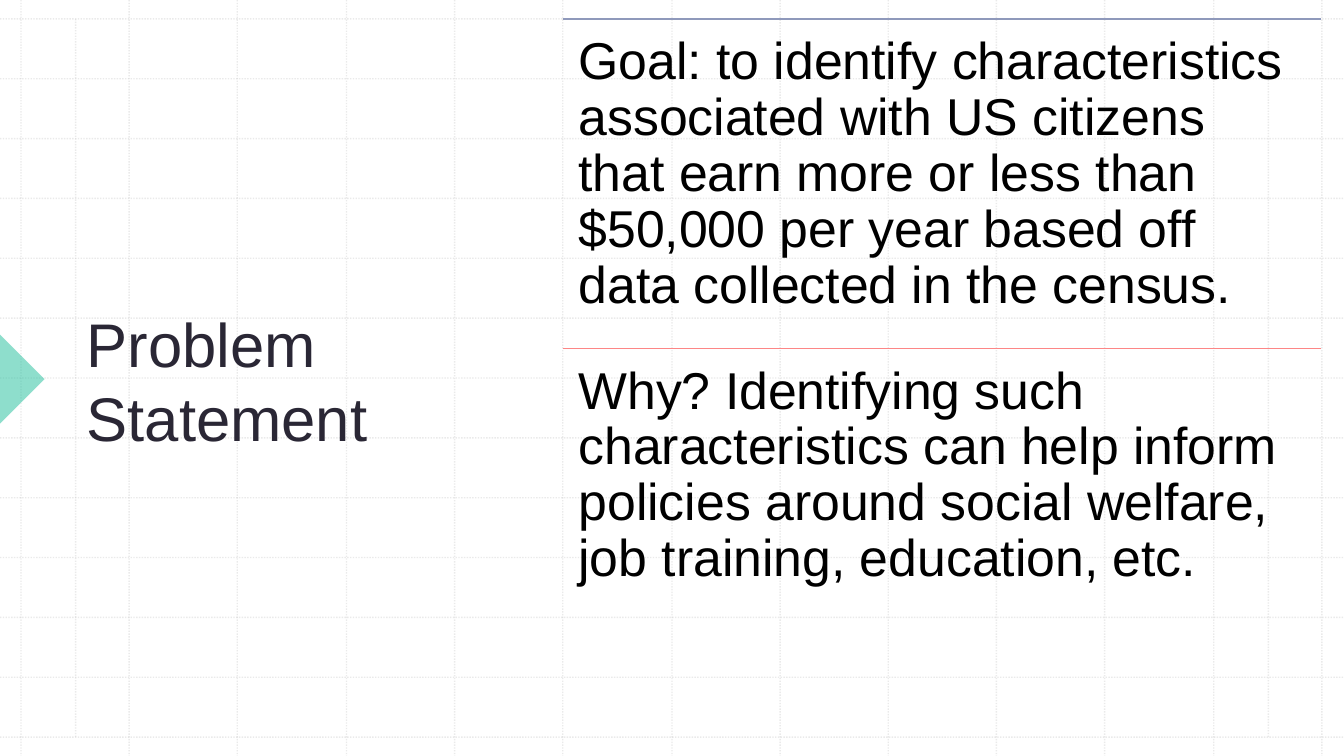
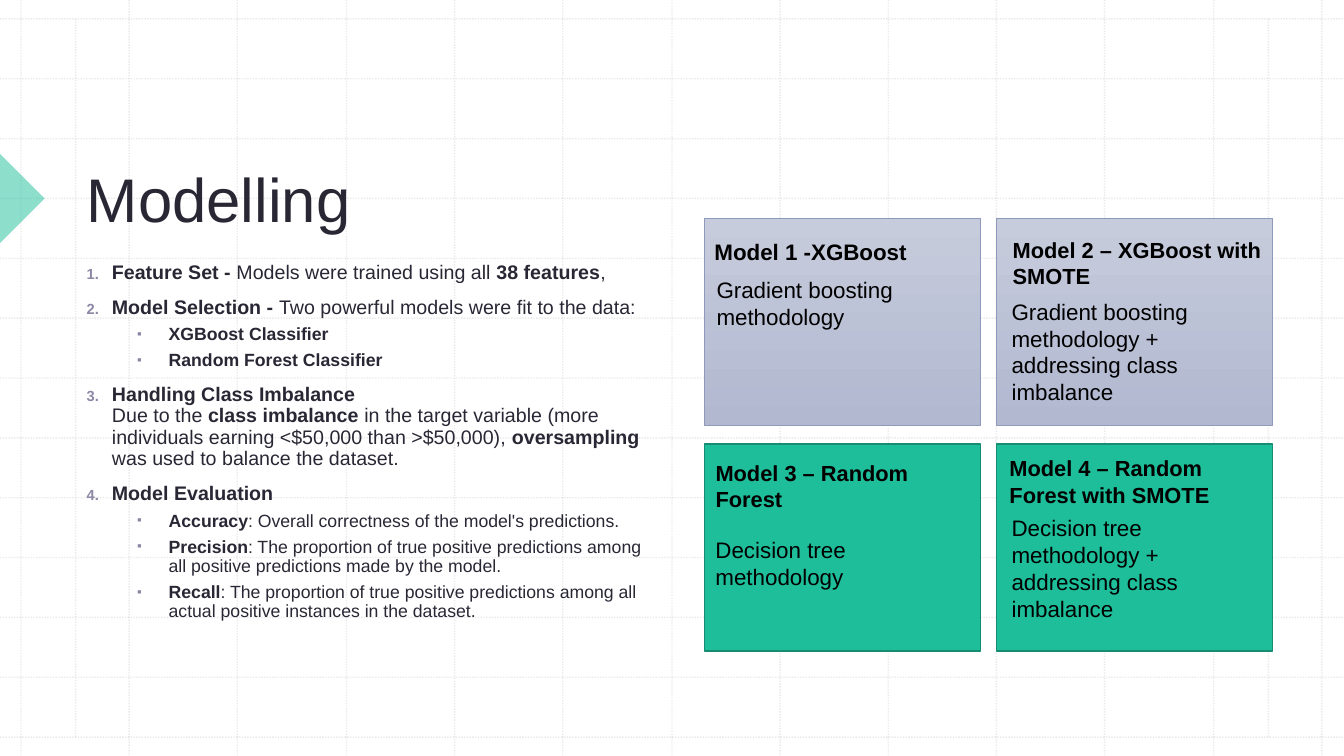
from copy import deepcopy

from lxml import etree
from pptx import Presentation
from pptx.dml.color import RGBColor
from pptx.enum.dml import MSO_LINE
from pptx.enum.shapes import MSO_CONNECTOR, MSO_SHAPE
from pptx.enum.text import MSO_ANCHOR, MSO_AUTO_SIZE, PP_ALIGN
from pptx.oxml.ns import qn
from pptx.util import Emu, Pt

STRAIGHT = MSO_CONNECTOR.STRAIGHT
RECT, TRIANGLE = MSO_SHAPE.RECTANGLE, MSO_SHAPE.RIGHT_TRIANGLE
TOP, MIDDLE, BOTTOM = MSO_ANCHOR.TOP, MSO_ANCHOR.MIDDLE, MSO_ANCHOR.BOTTOM
SYS_DOT, NO_FIT, LEFT = MSO_LINE.ROUND_DOT, MSO_AUTO_SIZE.NONE, PP_ALIGN.LEFT

FONT = "Arial"
WIDTH, HEIGHT = 1280, 720
COLORS = {
    "grid": "BCBCBC", "title": "2A2735", "text": "000000", "bullet": "8D87A6",
    "green": "1EBE9B", "green_edge": "168D73", "blue_edge": "8F99BB",
    "blue_light": "C7CCDC", "blue_dark": "B1B8D0", "coral": "FD8686",
}

STATEMENTS = [
    ("blue_edge", "Goal: to identify characteristics associated with US citizens that earn "
                  "more or less than $50,000 per year based off data collected in the census."),
    ("coral", "Why? Identifying such characteristics can help inform policies around "
              "social welfare, job training, education, etc."),
]

STEPS = [
    (0, "**Feature Set - **Models were trained using all **38 features**,"),
    (0, "**Model Selection - **Two powerful models were fit to the data:"),
    (1, "**XGBoost Classifier**"),
    (1, "**Random Forest Classifier**"),
    (0, "**Handling Class Imbalance\n**Due to the **class imbalance** in the target variable "
        "(more individuals earning <$50,000 than >$50,000), **oversampling** was used to "
        "balance the dataset."),
    (0, "**Model Evaluation**"),
    (1, "**Accuracy**: Overall correctness of the model's predictions."),
    (1, "**Precision**: The proportion of true positive predictions among all positive "
        "predictions made by the model."),
    (1, "**Recall**: The proportion of true positive predictions among all actual positive "
        "instances in the dataset."),
]

MODELS = [
    ("Model 1 -XGBoost", 16, (671, 190, 293, 67),
     "Gradient boosting methodology", (673, 258, 247, 61)),
    ("Model 2 – XGBoost with SMOTE", 15.6, (955, 171, 260, 109),
     "Gradient boosting methodology + addressing class imbalance", (954, 279, 218, 113)),
    ("Model 3 – Random Forest", 15.6, (672, 429, 255, 63),
     "Decision tree methodology", (672, 506, 213, 61)),
    ("Model 4 – Random Forest with SMOTE", 15.6, (952, 415, 218, 73),
     "Decision tree methodology + addressing class imbalance", (954, 485, 245, 113)),
]


def px(n):
    """Turn px into EMU."""
    return Emu(round(n * 9525))


def rgb(name):
    """Look up a named colour."""
    return RGBColor.from_string(COLORS[name])


def set_alpha(shape, percent):
    """Make the solid colours of a shape partly transparent."""
    for clr in shape.element.iter(qn("a:srgbClr")):
        etree.SubElement(clr, qn("a:alpha"), val=str(percent * 1000))


def add_line(s, x1, y1, x2, y2, color):
    """Draw a straight line one point wide without shadow."""
    line = s.shapes.add_connector(STRAIGHT, px(x1), px(y1), px(x2), px(y2))
    line.line.color.rgb = rgb(color)
    line.line.width = Pt(1)
    etree.SubElement(line.element.spPr, qn("a:effectLst"))
    return line


def write(tf, text, size, color="text", bold=False, spacing=1.0, before=0, level=0):
    """Write one paragraph, with **marks** around bold words."""
    p = tf.paragraphs[0]
    if p.runs:
        p = tf.add_paragraph()
    p.alignment, p.level = LEFT, level
    p.line_spacing, p.space_before = spacing, Pt(before)
    for i, part in enumerate(text.split("**")):
        for j, piece in enumerate(part.split("\n")):
            if j:
                p.add_line_break()
            if piece:
                r = p.add_run()
                r.text = piece
                r.font.name, r.font.size = FONT, Pt(size)
                r.font.bold = bold or i % 2 == 1
                r.font.color.rgb = rgb(color)
    for br in p._p.findall(qn("a:br")):
        br.append(deepcopy(p.runs[0]._r.rPr))
    return p


def add_bullet(p, margin, hang, tag, **attrs):
    """Give a paragraph a hanging bullet or number."""
    pPr = p._p.get_or_add_pPr()
    pPr.set("marL", str(px(margin)))
    pPr.set("indent", str(-px(hang)))
    clr = etree.SubElement(pPr, qn("a:buClr"))
    etree.SubElement(clr, qn("a:srgbClr"), val=COLORS["bullet"])
    etree.SubElement(pPr, qn("a:buSzPct"), val="75000")
    etree.SubElement(pPr, qn("a:buFont"), typeface=FONT)
    etree.SubElement(pPr, qn(tag), **attrs)


def place(shape, box, anchor):
    """Move a placeholder and return its text frame."""
    shape.left, shape.top, shape.width, shape.height = map(px, box)
    tf = shape.text_frame
    tf.auto_size, tf.word_wrap, tf.vertical_anchor = NO_FIT, True, anchor
    return tf


def add_text(s, text, box, size, anchor=TOP, inset=None, **fmt):
    """Add a wrapped text box."""
    tb = s.shapes.add_textbox(*map(px, box))
    tf = tb.text_frame
    tf.word_wrap, tf.vertical_anchor = True, anchor
    if inset is not None:
        tf.margin_left = tf.margin_right = tf.margin_top = tf.margin_bottom = px(inset)
    write(tf, text, size, **fmt)


def add_title(s, text, box, anchor, marker_top):
    """Fill the title and set the green marker beside it."""
    marker = s.shapes.add_shape(TRIANGLE, px(-30), px(marker_top), px(60), px(60))
    marker.shadow.inherit = False
    marker.rotation = 225
    marker.fill.solid()
    marker.fill.fore_color.rgb = rgb("green")
    marker.line.fill.background()
    set_alpha(marker, 50)
    write(place(s.shapes.title, box, anchor), text, 44, color="title")


def add_grid(prs, s):
    """Draw the dotted grid and move it to the slide master."""
    ends = [(0, y, WIDTH, y) for y in range(18, 703, 57)]
    ends += [(x, 0, x, HEIGHT) for x in (round(20 + i * 1239 / 12) for i in range(13))]
    ends += [(x, 18, x, 702) for x in (72, 1208)]
    tree = prs.slide_master.shapes.element
    for i, points in enumerate(ends):
        line = add_line(s, *points, "grid")
        line.line.dash_style = SYS_DOT
        set_alpha(line, 30)
        line.element.nvCxnSpPr.cNvPr.set("id", str(100 + i))
        tree.insert(2 + i, line.element)


def add_card(s, x, y, green):
    """Draw a model card in plain green or shaded blue."""
    card = s.shapes.add_shape(RECT, px(x), px(y), px(263), px(197))
    card.shadow.inherit = False
    if green:
        card.fill.solid()
        card.fill.fore_color.rgb = rgb("green")
    else:
        card.fill.gradient()
        card.fill.gradient_angle = 270
        for stop, name in zip(card.fill.gradient_stops, ("blue_light", "blue_dark")):
            stop.color.rgb = rgb(name)
    card.line.color.rgb = rgb("green_edge" if green else "blue_edge")
    card.line.width = Pt(1 if green else 0.5)


def build_problem(s):
    """Build the problem statement slide."""
    add_title(s, "Problem Statement", (73, 76, 360, 571), MIDDLE, 331)
    for i, (color, text) in enumerate(STATEMENTS):
        y = 18 + 314 * i
        add_line(s, 536, y, 1258, y, color)
        add_text(s, text, (536, y, 720, 314), 37, inset=15, spacing=0.9)


def build_modelling(s):
    """Build the modelling slide."""
    add_title(s, "Modelling", (73, 76, 1084, 152), BOTTOM, 159)
    tf = place(s.placeholders[1], (73, 245, 567, 374), TOP)
    for level, text in STEPS:
        p = write(tf, text, 12.6 if level else 14, color="title", spacing=0.9,
                  before=5 if level else 10, level=level)
        if level:
            add_bullet(p, 78, 30, "a:buChar", char="▪")
        else:
            add_bullet(p, 24, 24, "a:buAutoNum", type="arabicPeriod")
    for i, (name, size, name_box, method, method_box) in enumerate(MODELS):
        row, col = divmod(i, 2)
        add_card(s, 671 + 278 * col, 208 + 215 * row, green=row == 1)
        add_text(s, name, name_box, size, anchor=BOTTOM, bold=True)
        add_text(s, method, method_box, 16)


def main():
    """Build and save the presentation."""
    prs = Presentation()
    prs.slide_width, prs.slide_height = px(WIDTH), px(HEIGHT)
    problem = prs.slides.add_slide(prs.slide_layouts[5])
    add_grid(prs, problem)
    build_problem(problem)
    build_modelling(prs.slides.add_slide(prs.slide_layouts[1]))
    prs.save("out.pptx")


if __name__ == "__main__":
    main()
